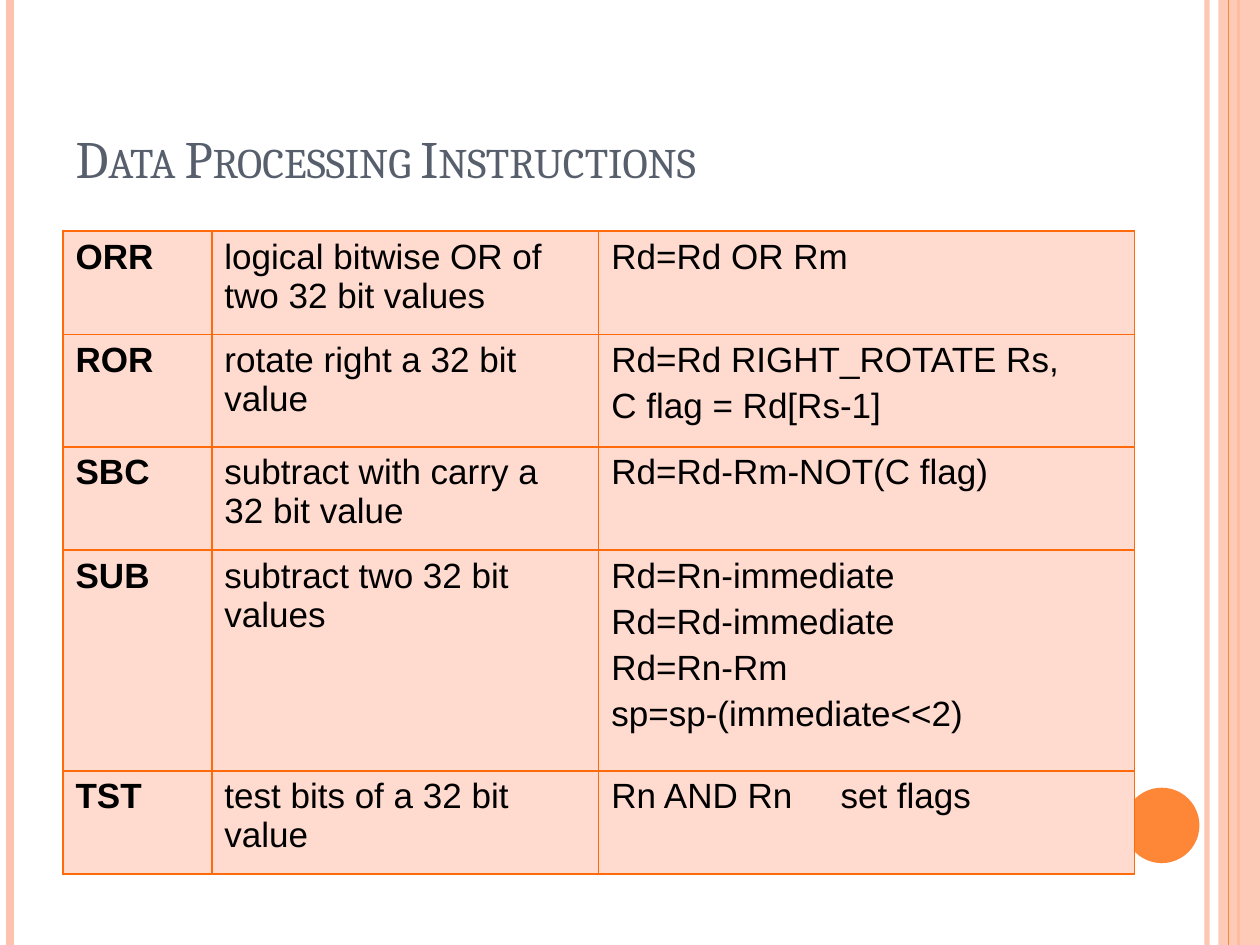
from pptx import Presentation
from pptx.dml.color import RGBColor
from pptx.enum import shapes as sh, text as tx
from pptx.oxml import ns, xmlchemy as xc
from pptx.util import Cm, Pt
from lxml import etree

TITLE = "Data Processing Instructions"
ROWS = [
    ("ORR", "logical bitwise OR of two 32 bit values", ["Rd=Rd OR Rm"]),
    ("ROR", "rotate right a 32 bit value",
     ["Rd=Rd RIGHT_ROTATE Rs,", "C flag = Rd[Rs-1]"]),
    ("SBC", "subtract with carry a 32 bit value", ["Rd=Rd-Rm-NOT(C flag)"]),
    ("SUB", "subtract two 32 bit values",
     ["Rd=Rn-immediate", "Rd=Rd-immediate", "Rd=Rn-Rm",
      "sp=sp-(immediate<<2)"]),
    ("TST", "test bits of a 32 bit value", ["Rn AND Rn\tset flags"]),
]
WIDTHS = [3, 7.8, 10.8]
HEIGHTS = [2.08, 2.27, 2.08, 4.45, 2.08]
RAILS = [
    (24.33, "FEC3AE", 3, 93),
    (0.21, "FEC3AE", 4.5, 100),
    (24.97, "FE8637", 1.5, 100),
    (24.77, "FE8637", 0.75, 100),
]
PEACH, ORANGE, CELL, EDGE = "FEC3AE", "FE8637", "FFDACF", "FF6B0A"
TALL = 19.05


def tint(fmt, hue):
    fmt.solid()
    fmt.fore_color.rgb = RGBColor.from_string(hue)


def sub(node, tag, **attrs):
    return etree.SubElement(node, ns.qn(tag), attrs)


def fade(shape, pct):
    for clr in shape._element.spPr.iter(ns.qn("a:srgbClr")):
        sub(clr, "a:alpha", val=str(pct * 1000))


def write(frame, lines, font="Arial", size=20, hue="000000", bold=False,
          caps=False, gap=4, tab=None):
    for i, line in enumerate(lines):
        para = frame.paragraphs[0] if i == 0 else frame.add_paragraph()
        para.alignment = tx.PP_ALIGN.LEFT
        para.space_before = Pt(gap if i else 0)
        if tab and "\t" in line:
            tabs = sub(para._p.get_or_add_pPr(), "a:tabLst")
            sub(tabs, "a:tab", pos=str(Cm(tab)), algn="l")
        run = para.add_run()
        run.text = line
        run.font.name, run.font.size, run.font.bold = font, Pt(size), bold
        tint(run.font.fill, hue)
        if caps:
            run.font._element.set("cap", "small")


def rail(slide, x, hue, wide, pct):
    line = slide.shapes.add_connector(
        sh.MSO_CONNECTOR.STRAIGHT, Cm(x), 0, Cm(x), Cm(TALL))
    tint(line.line.fill, hue)
    line.line.width = Pt(wide)
    sub(line._element.spPr, "a:effectLst")
    if pct < 100:
        fade(line, pct)


def block(slide, kind, hue, *box):
    shape = slide.shapes.add_shape(kind, *map(Cm, box))
    tint(shape.fill, hue)
    shape.line.fill.background()
    shape.shadow.inherit = False
    return shape


def edge(cell):
    props = cell._tc.get_or_add_tcPr()
    for side in "LRTB":
        line = sub(props, f"a:ln{side}", w=str(Pt(1)))
        sub(sub(line, "a:solidFill"), "a:srgbClr", val=EDGE)


def grid(slide):
    table = slide.shapes.add_table(
        len(ROWS), len(WIDTHS), Cm(1.27), Cm(4.66),
        Cm(sum(WIDTHS)), Cm(sum(HEIGHTS))).table
    table.first_row = table.horz_banding = False
    for col, wide in zip(table.columns, WIDTHS):
        col.width = Cm(wide)
    for row, high, (code, role, forms) in zip(table.rows, HEIGHTS, ROWS):
        row.height = Cm(high)
        for cell, lines in zip(row.cells, ([code], [role], forms)):
            edge(cell)
            tint(cell.fill, CELL)
            write(cell.text_frame, lines, bold=lines == [code], tab=4.62)


def main():
    deck = Presentation()
    deck.slide_width, deck.slide_height = Cm(25.4), Cm(TALL)
    slide = deck.slides.add_slide(deck.slide_layouts[5])

    for spec_row in RAILS[:3]:
        rail(slide, *spec_row)
    fade(block(slide, sh.MSO_SHAPE.RECTANGLE, PEACH, 24.56, 0, 0.84, TALL), 87)
    rail(slide, *RAILS[3])
    block(slide, sh.MSO_SHAPE.OVAL, ORANGE, 22.66, 15.88, 1.52, 1.52)

    title = slide.shapes.title
    title.left, title.top = Cm(1.27), Cm(0.76)
    title.width, title.height = Cm(22.86), Cm(3.18)
    title.text_frame.vertical_anchor = tx.MSO_ANCHOR.BOTTOM
    write(title.text_frame, [TITLE], font="Cambria", size=30, hue="575F6D",
          caps=True)

    grid(slide)
    deck.save("out.pptx")


if __name__ == "__main__":
    main()
